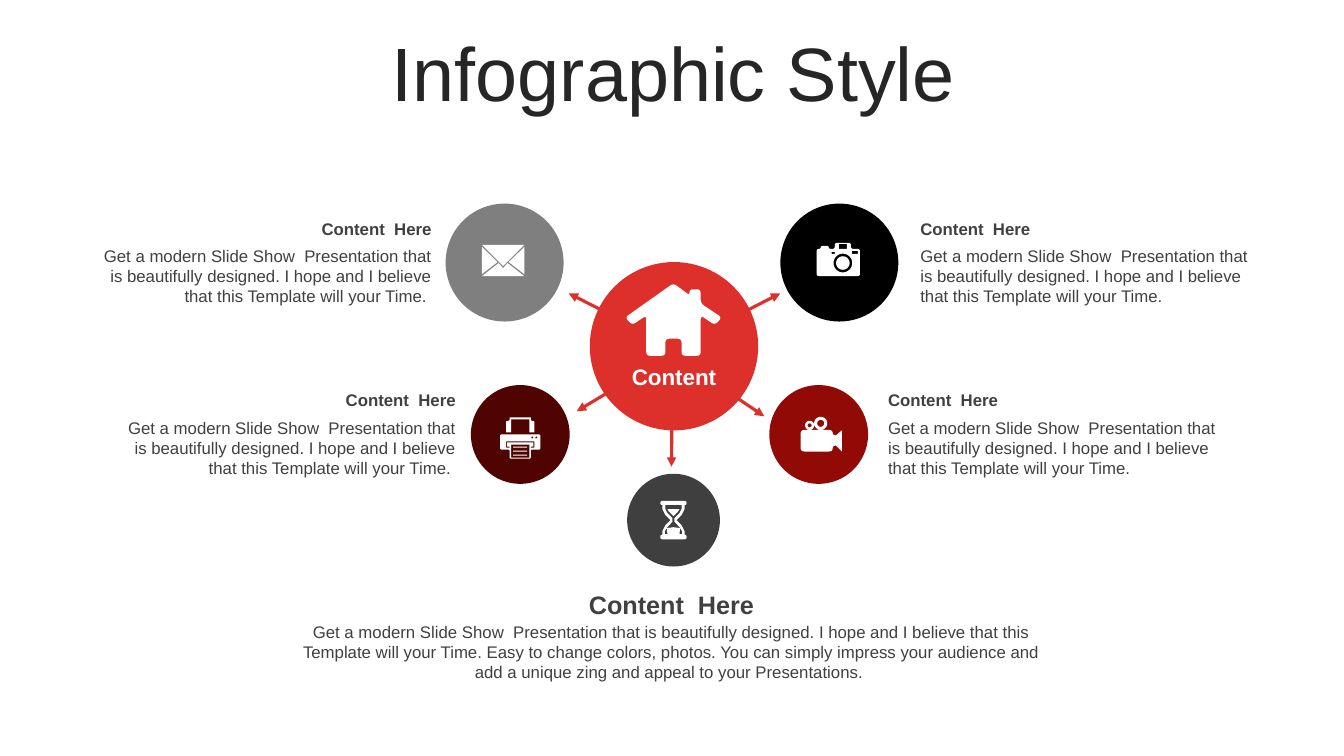
import math

import lxml.etree
import pptx
import pptx.dml.color
import pptx.enum.shapes
import pptx.enum.text
import pptx.oxml.ns
import pptx.util

SHAPE = pptx.enum.shapes.MSO_SHAPE
ALIGN = pptx.enum.text.PP_ALIGN
ANCHOR = pptx.enum.text.MSO_ANCHOR
RED, WHITE, INK = "DE302A", "FFFFFF", "404040"
HEADING = "Content  Here"
PITCH = ("Get a modern Slide Show  Presentation that is beautifully designed. "
         "I hope and I believe that this Template will your Time.")
PITCH_END = (" Easy to change colors, photos. You can simply impress your audience "
             "and add a unique zing and appeal to your Presentations. ")


def color(code):
    return pptx.dml.color.RGBColor.from_string(code)


def rounded(points, radius):
    """Outline of a polygon whose corners are softened by the radius."""
    outline = []
    for index, corner in enumerate(points):
        ends = []
        for other in (points[index - 1], points[(index + 1) % len(points)]):
            length = math.dist(corner, other)
            share = min(radius, length / 2) / length
            ends.append([c + (o - c) * share for c, o in zip(corner, other)])
        for t in (0, 0.25, 0.5, 0.75, 1):
            outline.append(tuple((1 - t) ** 2 * a + 2 * t * (1 - t) * c + t ** 2 * b
                                 for a, c, b in zip(ends[0], corner, ends[1])))
    return outline


def block(left, top, right, bottom, radius=0):
    corners = [(left, top), (right, top), (right, bottom), (left, bottom)]
    return rounded(corners, radius) if radius else corners


def disc(x, y, radius, steps=32):
    turns = [2 * math.pi * step / steps for step in range(steps)]
    return [(x + radius * math.cos(a), y + radius * math.sin(a)) for a in turns]


def mirrored(half):
    """Closed outline from its right half, listed from top to bottom."""
    return half + [(-x, y) for x, y in reversed(half)]


# Icon outlines in grid cells around the icon's centre; an outline inside another is a hole.
ENVELOPE = [
    [(0.45, 0.25), (2.1, 1.55), (-2.1, 1.55), (-0.45, 0.25), (0, 0.75)],
    [(2.1, -1.35), (2.1, 1.35), (0.55, 0.15)],
    [(-2.1, -1.35), (-2.1, 1.35), (-0.55, 0.15)],
    [(-2.1, -1.55), (2.1, -1.55), (0, 0.55)],
]
PRINTER = [
    rounded(mirrored([(2, -0.35), (2, 1.15), (1.05, 1.15), (1.05, 2.05)]), 0.15),
    mirrored([(1.4, 0.35), (1.4, 0.95), (1.05, 0.95), (1.05, 0.85), (1.3, 0.85), (1.3, 0.45)]),
    block(-0.9, 0.65, 0.9, 1.95),
    *[block(-0.7, top, 0.7, top + 0.1) for top in (0.85, 1.25, 1.65)],
    disc(1.2, -0.05, 0.1), disc(1.6, -0.05, 0.1),
    mirrored([(1.05, -2.05), (1.05, -1.75), (1.4, -1.65), (1.4, -0.55),
              (0.9, -0.55), (0.9, -1.85)]),
]
HOURGLASS = [
    block(-1.3, -1.9, 1.3, -1.5, 0.2),
    block(-1.3, 1.45, 1.3, 1.9, 0.2),
    mirrored([(1.1, -1.5), (1.1, -1.1), (0.8, -0.5), (0.3, 0), (0.8, 0.5),
              (1.1, 1.1), (1.1, 1.45)]),
    mirrored([(0.8, -1.5), (0.8, -1.1), (0.6, -0.7), (0.1, -0.2), (0.1, 0.15),
              (0.6, 0.7), (0.85, 1.1), (0.85, 1.4)]),
    [(-0.6, -1.1), (0.6, -1.1), (0.5, -0.9), (0, -0.4), (-0.5, -0.9)],
    [(-0.6, 1.4), (0.6, 1.4), (0.65, 0.8), (0, 0.7), (-0.65, 0.8)],
]
CAMERA = [
    rounded([(-2.15, -1.05), (-1.75, -1.05), (-1.75, -1.35), (-0.95, -1.35),
             (-0.95, -1.05), (-0.35, -1.05), (-0.35, -1.65), (1.25, -1.65),
             (1.25, -1.05), (2.15, -1.05), (2.15, 1.65), (-2.15, 1.65)], 0.25),
    disc(0.45, 0.35, 0.93), disc(0.45, 0.35, 0.67),
    block(-0.65, -0.75, -0.35, -0.55),
    block(1.35, -0.85, 1.95, -0.55),
    block(0.05, -1.55, 0.85, -1.05),
]
VIDEO = [
    block(-2.05, -0.4, 1.15, 1.75, 0.4),
    disc(-1.15, -0.85, 0.45), disc(-1.15, -0.85, 0.2),
    disc(-0.05, -1.05, 0.65), disc(-0.05, -1.05, 0.35),
    [(1.15, 0.05), (1.45, 0.15), (2.05, -0.35), (2.05, 1.75), (1.45, 1.15), (1.15, 1.25)],
]
HOUSE = [rounded([
    (2.7, -0.5), (2.7, 3.5), (0.8, 3.5), (0.8, 1.8), (-0.8, 1.8), (-0.8, 3.5),
    (-2.7, 3.5), (-2.7, -0.5), (-4.1, 0.45), (-4.8, -0.3), (0, -3.7), (1.6, -2.5),
    (1.6, -3.1), (2.7, -3.1), (2.7, -1.7), (4.8, -0.3), (4.1, 0.45)], 0.4)]

# Centre, diameter, fill, icon, icon centre, arrow start, arrow tip
SPOKES = [
    ((83.25, 26.05), 11.7, "000000", CAMERA, (83.15, 25.75), (67.1, 34.4), (77.4, 29.1)),
    ((50.05, 26.05), 11.7, "7F7F7F", ENVELOPE, (49.9, 25.85), (66.8, 34.4), (56.4, 29.1)),
    ((81.2, 43.1), 9.8, "920A06", VIDEO, (81.45, 43.05), (66.3, 34.9), (75.8, 41.3)),
    ((51.6, 43.1), 9.8, "500402", PRINTER, (51.6, 43.45), (67, 34.9), (57.2, 40.8)),
    ((66.8, 51.6), 9.2, "3F3F3F", HOURGLASS, (66.8, 51.6), (66.7, 35.4), (66.6, 46.3)),
]
# Left, top, width, alignment, heading size, gap to the body, body
CAPTIONS = [
    (90.3, 21.2, 35, ALIGN.LEFT, 12, 2.7, PITCH),
    (87.1, 38.2, 35, ALIGN.LEFT, 12, 2.7, PITCH),
    (8.8, 21.2, 35, ALIGN.RIGHT, 12, 2.7, PITCH + " "),
    (11.2, 38.2, 35, ALIGN.RIGHT, 12, 2.7, PITCH + " "),
    (28.9, 58.5, 75.4, ALIGN.CENTER, 18, 2.7, PITCH + PITCH_END),
]


class Canvas:
    """Draws on one slide; every length is in grid cells of a tenth of an inch."""

    font = "Arial"
    cell = pptx.util.Inches(0.1)

    def __init__(self, page):
        self.shapes = page.shapes

    def lengths(self, *cells):
        return [round(count * self.cell) for count in cells]

    def text(self, words, left, top, width, height, size, ink=INK, bold=False,
             align=ALIGN.CENTER, anchor=ANCHOR.MIDDLE, spacing=1.0):
        box = self.shapes.add_textbox(*self.lengths(left, top, width, height))
        box.text_frame.word_wrap = True
        box.text_frame.vertical_anchor = anchor
        para = box.text_frame.paragraphs[0]
        para.alignment, para.line_spacing = align, spacing
        span = para.add_run()
        span.text = words
        span.font.name, span.font.size, span.font.bold = self.font, pptx.util.Pt(size), bold
        span.font.color.rgb = color(ink)

    def paint(self, shape, fill):
        shape.shadow.inherit = False
        shape.fill.solid()
        shape.fill.fore_color.rgb = color(fill)
        shape.line.fill.background()

    def circle(self, center, size, fill):
        left, top = (middle - size / 2 for middle in center)
        self.paint(self.shapes.add_shape(SHAPE.OVAL, *self.lengths(left, top, size, size)), fill)

    def arrow(self, start, tip):
        line = self.shapes.add_connector(pptx.enum.shapes.MSO_CONNECTOR.STRAIGHT,
                                         *self.lengths(*start, *tip))
        line.line.color.rgb = color(RED)
        line.line.width = pptx.util.Pt(2.25)
        qn = pptx.oxml.ns.qn
        lxml.etree.SubElement(line.line._get_or_add_ln(), qn("a:tailEnd"), type="triangle")
        lxml.etree.SubElement(line._element.spPr, qn("a:effectLst"))

    def icon(self, outlines, center):
        builder = None
        for outline in outlines:
            points = [self.lengths(center[0] + x, center[1] + y) for x, y in outline]
            if builder is None:
                builder = self.shapes.build_freeform(*points[0], scale=1.0)
            else:
                builder.move_to(*points[0])
            builder.add_line_segments(points[1:], close=True)
        self.paint(builder.convert_to_shape(), WHITE)


def main():
    deck = pptx.Presentation()
    deck.slide_width, deck.slide_height = pptx.util.Inches(13.33), pptx.util.Inches(7.5)
    canvas = Canvas(deck.slides.add_slide(deck.slide_layouts[6]))

    canvas.text("Infographic Style", 3.5, 3.7, 126.6, 7.9, 54, "262626", spacing=0.9)
    for left, top, width, align, size, gap, body in CAPTIONS:
        canvas.text(HEADING, left, top, width, 3, size, bold=True, align=align)
        canvas.text(body, left, top + gap, width, 7.1, 12, align=align, anchor=ANCHOR.TOP)
    for center, size, fill, icon, icon_center, start, tip in SPOKES:
        canvas.arrow(start, tip)
        canvas.circle(center, size, fill)
        canvas.icon(icon, icon_center)
    canvas.circle((66.85, 34.35), 16.7, RED)
    canvas.icon(HOUSE, (66.8, 31.8))
    canvas.text("Content", 58.7, 35.5, 16.3, 3.7, 16, WHITE, bold=True)
    deck.save("out.pptx")


if __name__ == "__main__":
    main()
